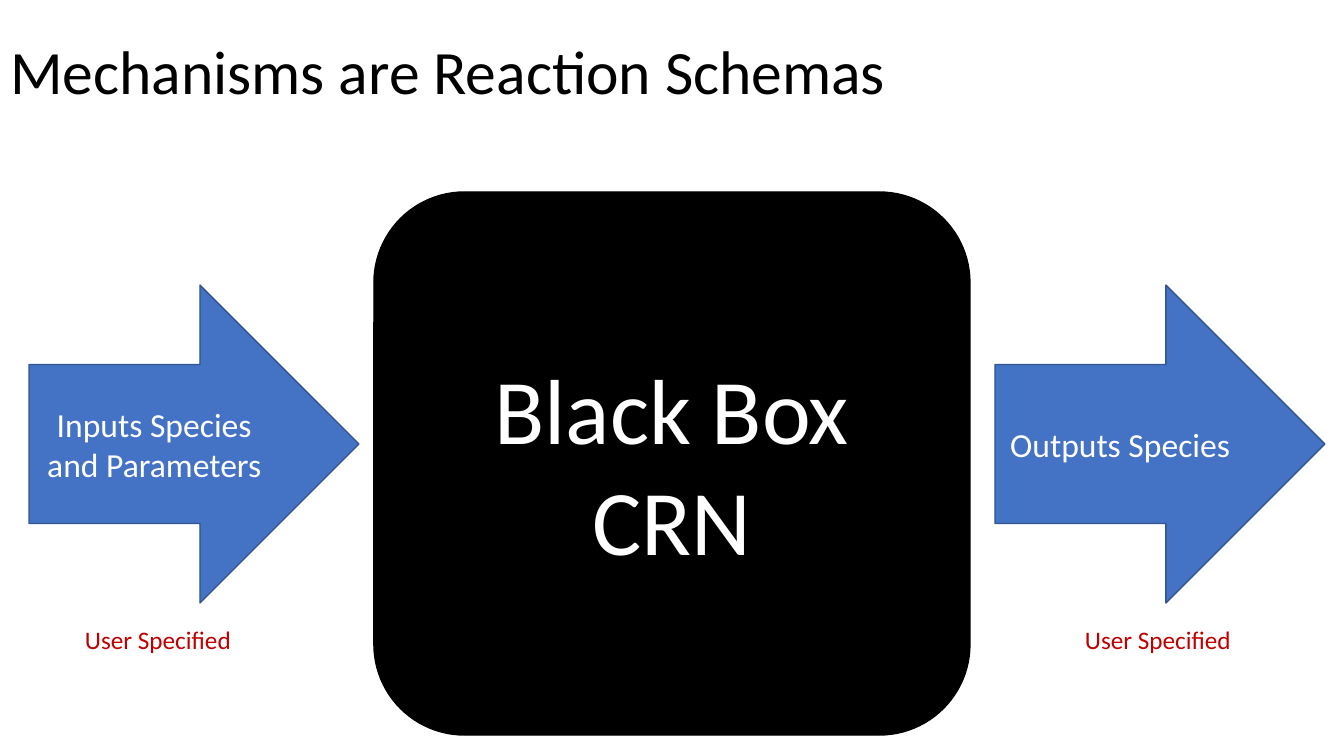
"""Build the slide "Mechanisms are Reaction Schemas"."""
from dataclasses import dataclass

from pptx import Presentation
from pptx.dml.color import RGBColor
from pptx.enum.shapes import MSO_SHAPE
from pptx.enum.text import MSO_ANCHOR, MSO_AUTO_SIZE, PP_ALIGN
from pptx.util import Pt

PIXEL = 914400 / 100.8


@dataclass(frozen=True)
class Theme:
    font: str = "Calibri"
    black: str = "000000"
    white: str = "FFFFFF"
    arrow: str = "4472C4"
    arrow_edge: str = "325491"
    note: str = "C00000"
    title_size: int = 44
    box_size: int = 66
    arrow_size: int = 24
    note_size: int = 18


theme = Theme()


def px(*lengths):
    return [round(length * PIXEL) for length in lengths]


def write(holder, text, size, color, align, anchor=MSO_ANCHOR.MIDDLE, wrap=True):
    frame = holder.text_frame
    frame.text = text
    frame.word_wrap = wrap
    frame.vertical_anchor = anchor
    paragraph = frame.paragraphs[0]
    paragraph.alignment = align
    font = paragraph.runs[0].font
    font.name = theme.font
    font.size = Pt(size)
    font.color.rgb = RGBColor.from_string(color)


presentation = Presentation()
presentation.slide_width, presentation.slide_height = px(1344, 756)
slide = presentation.slides.add_slide(presentation.slide_layouts[5])

title = slide.shapes.title
title.left, title.top, title.width, title.height = px(0, 2, 1159, 146)
write(title, "Mechanisms are Reaction Schemas", theme.title_size, theme.black, PP_ALIGN.LEFT)
title.text_frame.auto_size = MSO_AUTO_SIZE.NONE
title.text_frame.paragraphs[0].line_spacing = 0.9

ARROW, BOX = MSO_SHAPE.RIGHT_ARROW, MSO_SHAPE.ROUNDED_RECTANGLE
stages = [
    (ARROW, (29, 285, 330, 318), "Inputs Species and Parameters",
     theme.arrow_size, theme.arrow, theme.arrow_edge),
    (ARROW, (995, 285, 330, 318), "Outputs Species",
     theme.arrow_size, theme.arrow, theme.arrow_edge),
    (BOX, (374, 192, 596, 543), "Black Box CRN",
     theme.box_size, theme.black, theme.black),
]
for preset, bounds, label, size, fill, edge in stages:
    stage = slide.shapes.add_shape(preset, *px(*bounds))
    stage.shadow.inherit = False
    stage.fill.solid()
    stage.fill.fore_color.rgb = RGBColor.from_string(fill)
    stage.line.color.rgb = RGBColor.from_string(edge)
    stage.line.width = Pt(1)
    write(stage, label, size, theme.white, PP_ALIGN.CENTER)

for left in (75, 1075):
    note = slide.shapes.add_textbox(*px(left, 619, 168, 40))
    write(note, "User Specified", theme.note_size, theme.note,
          PP_ALIGN.LEFT, MSO_ANCHOR.TOP, wrap=False)
    note.text_frame.auto_size = MSO_AUTO_SIZE.SHAPE_TO_FIT_TEXT

presentation.save("out.pptx")
